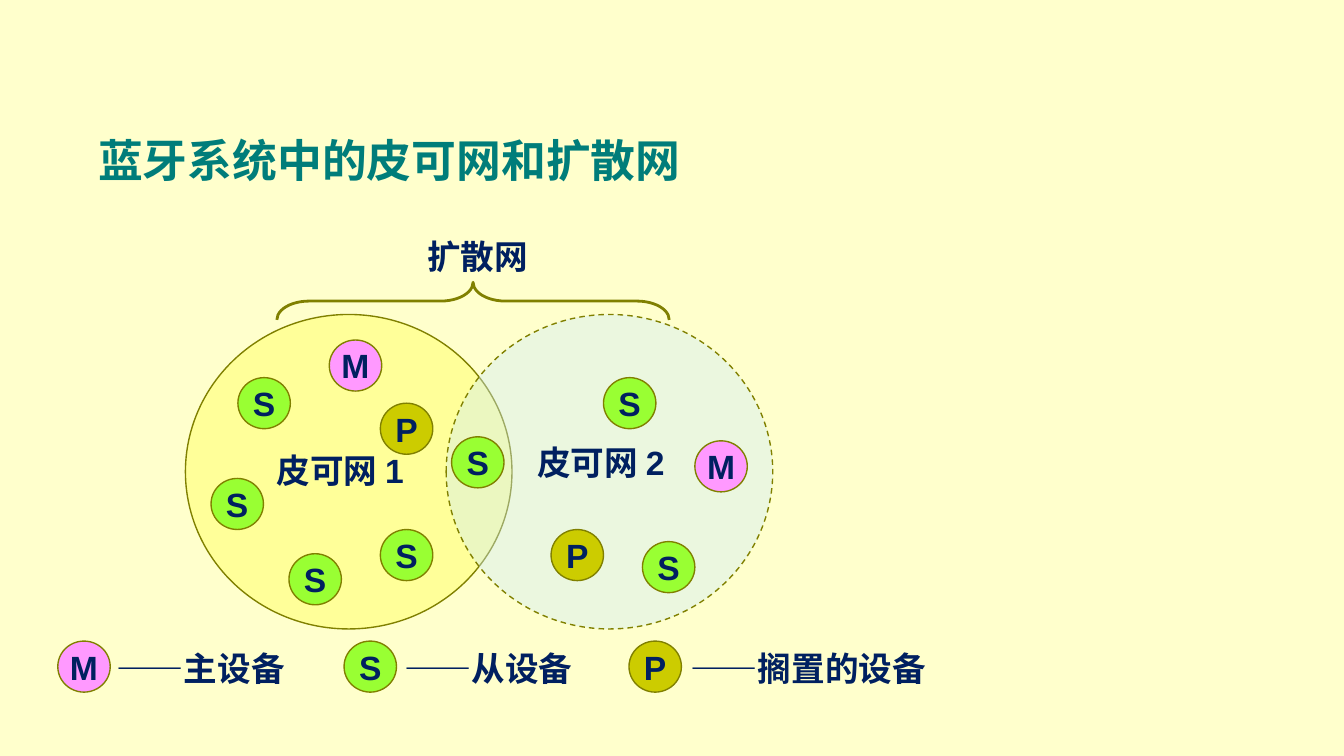
from typing import NamedTuple

from lxml import etree
from pptx import Presentation
from pptx.dml.color import RGBColor
from pptx.enum.dml import MSO_LINE
from pptx.enum.shapes import MSO_SHAPE
from pptx.enum.text import MSO_ANCHOR, PP_ALIGN
from pptx.oxml.ns import qn
from pptx.util import Inches, Pt

ELLIPSE, BRACE = MSO_SHAPE.OVAL, MSO_SHAPE.RIGHT_BRACE
DASH = MSO_LINE.DASH
MIDDLE = MSO_ANCHOR.MIDDLE
LEFT, CENTER = PP_ALIGN.LEFT, PP_ALIGN.CENTER

CREAM = RGBColor(0xFF, 0xFF, 0xCC)
TEAL = RGBColor(0x00, 0x7D, 0x7A)
NAVY = RGBColor(0x00, 0x20, 0x60)
OLIVE = RGBColor(0x80, 0x80, 0x00)
YELLOW = RGBColor(0xFF, 0xFF, 0x99)
PALE_BLUE = RGBColor(0xCC, 0xEC, 0xFF)
DEVICE_FILLS = {
    "M": RGBColor(0xFF, 0x99, 0xFF),
    "S": RGBColor(0x99, 0xFF, 0x33),
    "P": RGBColor(0xCC, 0xCC, 0x00),
}

LATIN, SERIF, CHINESE = "Arial", "Times New Roman", "Noto Sans CJK SC"
TITLE_FORMAT = {"size": Pt(24), "bold": True, "name": CHINESE}
LABEL_FORMAT = {"size": Pt(18), "bold": True, "name": LATIN}
DEVICE_WIDTH, DEVICE_HEIGHT = 0.39, 0.38
PICONET_TOP, PICONET_WIDTH, PICONET_HEIGHT = 2.34, 2.43, 2.34
LEGEND_TOP, LABEL_HEIGHT = 4.77, 0.4


class Device(NamedTuple):
    role: str
    left: float
    top: float


class Label(NamedTuple):
    text: str
    left: float
    top: float
    width: float
    wrap: bool


class LegendEntry(NamedTuple):
    role: str
    meaning: str
    left: float
    text_left: float
    text_width: float


DEVICES = [
    Device("M", 2.45, 2.53), Device("M", 5.17, 3.28),
    Device("S", 1.57, 3.56), Device("S", 1.77, 2.81),
    Device("P", 4.10, 3.94), Device("S", 3.36, 3.25),
    Device("S", 2.83, 3.94), Device("S", 2.15, 4.12),
    Device("S", 4.78, 4.03), Device("S", 4.49, 2.81),
    Device("P", 2.83, 3.00),
]
LABELS = [
    Label("皮可网 2", 3.9, 3.24, 1.15, True),
    Label("扩散网", 3.08, 1.71, 0.96, False),
    Label("皮可网 1", 1.96, 3.3, 1.15, True),
]
LEGEND = [
    LegendEntry("M", "主设备", 0.43, 0.77, 1.47),
    LegendEntry("S", "从设备", 2.56, 2.91, 1.47),
    LegendEntry("P", "搁置的设备", 4.68, 5.04, 1.98),
]


def add_span(para, text: str, formats: dict, color: RGBColor) -> None:
    span = para.add_run()
    span.text = text
    for name, value in formats.items():
        setattr(span.font, name, value)
    span.font.color.rgb = color
    etree.SubElement(span.font._element, qn("a:ea")).set("typeface", CHINESE)


def add_outlined(slide, kind, left: float, top: float, width: float, height: float,
                 fill: RGBColor | None, line_width: float = 0.75):
    """Add an olive-edged shape; a fill of None leaves it hollow."""
    shape = slide.shapes.add_shape(kind, Inches(left), Inches(top), Inches(width), Inches(height))
    shape.shadow.inherit = False
    if fill is None:
        shape.fill.background()
    else:
        shape.fill.solid()
        shape.fill.fore_color.rgb = fill
    shape.line.color.rgb = OLIVE
    shape.line.width = Pt(line_width)
    return shape


def add_piconet(slide, left: float, fill: RGBColor):
    return add_outlined(slide, ELLIPSE, left, PICONET_TOP, PICONET_WIDTH, PICONET_HEIGHT, fill)


def add_piconets(slide) -> None:
    add_piconet(slide, 1.38, YELLOW)
    second = add_piconet(slide, 3.32, PALE_BLUE)
    second.line.dash_style = DASH
    color = second.fill._xPr.find(qn("a:solidFill")).find(qn("a:srgbClr"))
    etree.SubElement(color, qn("a:alpha")).set("val", "39000")


def add_device(slide, device: Device) -> None:
    circle = add_outlined(slide, ELLIPSE, device.left, device.top,
                          DEVICE_WIDTH, DEVICE_HEIGHT, DEVICE_FILLS[device.role])
    frame = circle.text_frame
    frame.word_wrap = False
    frame.vertical_anchor = MIDDLE
    para = frame.paragraphs[0]
    para.alignment = CENTER
    add_span(para, device.role, LABEL_FORMAT, NAVY)


def add_text_box(slide, left: float, top: float, width: float, wrap: bool):
    """Add an empty box and return its first paragraph."""
    box = slide.shapes.add_textbox(Inches(left), Inches(top), Inches(width), Inches(LABEL_HEIGHT))
    box.text_frame.word_wrap = wrap
    para = box.text_frame.paragraphs[0]
    para.alignment = LEFT
    return para


def add_label(slide, label: Label) -> None:
    para = add_text_box(slide, label.left, label.top, label.width, label.wrap)
    add_span(para, label.text, LABEL_FORMAT, NAVY)


def add_legend_entry(slide, entry: LegendEntry) -> None:
    add_device(slide, Device(entry.role, entry.left, LEGEND_TOP))
    para = add_text_box(slide, entry.text_left, LEGEND_TOP, entry.text_width, False)
    add_span(para, "——", LABEL_FORMAT, NAVY)
    add_span(para, entry.meaning, LABEL_FORMAT | {"name": SERIF}, NAVY)


def add_title(slide) -> None:
    title = slide.shapes.title
    place = {"left": 0.63, "top": 0.72, "width": 7.03, "height": 0.94}
    for name, value in place.items():
        setattr(title, name, Inches(value))
    title.text_frame.vertical_anchor = MIDDLE
    para = title.text_frame.paragraphs[0]
    para.alignment = LEFT
    add_span(para, "蓝牙系统中的皮可网和扩散网", TITLE_FORMAT, TEAL)


def add_scatternet_brace(slide) -> None:
    brace = add_outlined(slide, BRACE, 3.38, 0.78, 0.28, 2.92, None, 1.5)
    brace.rotation = 270
    brace.adjustments[0] = 0.86
    brace.adjustments[1] = 0.5


def main() -> None:
    deck = Presentation()
    deck.slide_width = Inches(10)
    deck.slide_height = deck.slide_width * 9 // 16
    slide = deck.slides.add_slide(deck.slide_layouts[5])
    slide.background.fill.solid()
    slide.background.fill.fore_color.rgb = CREAM

    add_title(slide)
    add_piconets(slide)
    for device in DEVICES:
        add_device(slide, device)
    for label in LABELS:
        add_label(slide, label)
    add_scatternet_brace(slide)
    for entry in LEGEND:
        add_legend_entry(slide, entry)
    deck.save("out.pptx")


if __name__ == "__main__":
    main()
